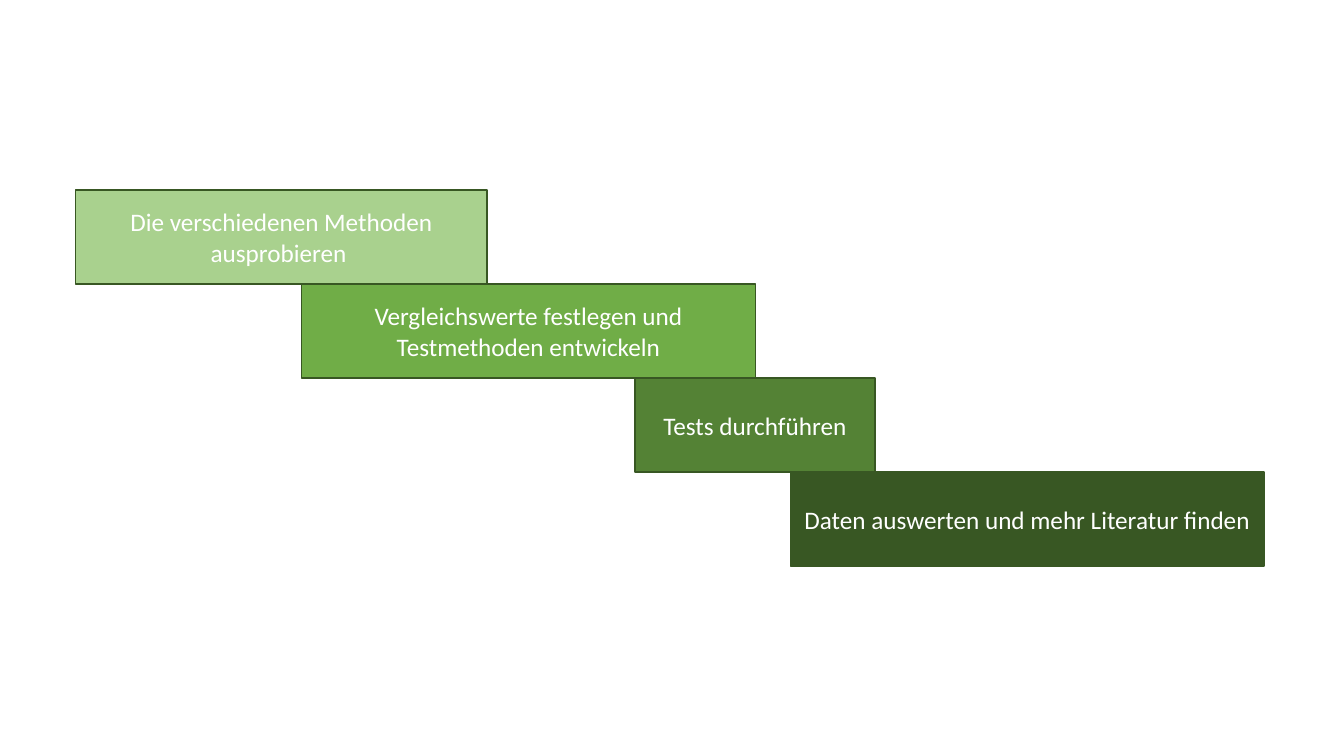
from dataclasses import dataclass

from pptx import Presentation
from pptx.dml.color import RGBColor
from pptx.enum.shapes import MSO_SHAPE
from pptx.enum.text import MSO_ANCHOR, PP_ALIGN
from pptx.util import Pt

RECT = MSO_SHAPE.RECTANGLE
MIDDLE = MSO_ANCHOR.MIDDLE
CENTER = PP_ALIGN.CENTER


@dataclass(frozen=True)
class Theme:
    font: str = "Calibri"
    size: float = 18
    text: str = "FFFFFF"
    line: str = "385723"
    pale: str = "A9D18E"
    green: str = "70AD47"
    deep: str = "548235"
    dark: str = "385723"


class Board:
    """Draws elements on one slide in one style."""

    def __init__(self, slide, theme):
        self.slide = slide
        self.theme = theme

    def box(self, left, top, width, height, fill, text):
        shape = self.slide.shapes.add_shape(
            RECT, Pt(left), Pt(top), Pt(width), Pt(height))
        shape.shadow.inherit = False
        shape.fill.solid()
        shape.fill.fore_color.rgb = RGBColor.from_string(fill)
        shape.line.color.rgb = RGBColor.from_string(self.theme.line)
        shape.line.width = Pt(1)
        frame = shape.text_frame
        frame.word_wrap = True
        frame.vertical_anchor = MIDDLE
        para = frame.paragraphs[0]
        para.alignment = CENTER
        self.run(para, text)

    def run(self, para, text):
        run = para.add_run()
        run.text = text
        run.font.name = self.theme.font
        run.font.size = Pt(self.theme.size)
        run.font.color.rgb = RGBColor.from_string(self.theme.text)


def main():
    deck = Presentation()
    deck.slide_width, deck.slide_height = Pt(960), Pt(540)
    theme = Theme()
    board = Board(deck.slides.add_slide(deck.slide_layouts[6]), theme)

    # Staircase of work steps: row, left, width, fill, text (back to front)
    top, height = 135.6, 67.2
    steps = [
        (1, 215.5, 324, theme.green,
         "Vergleichswerte festlegen und Testmethoden entwickeln"),
        (2, 453.5, 171.5, theme.deep, "Tests durchführen"),
        (3, 564.5, 338.5, theme.dark,
         "Daten auswerten und mehr Literatur finden"),
        (0, 54, 294, theme.pale, "Die verschiedenen Methoden ausprobieren "),
    ]
    for row, left, width, fill, text in steps:
        board.box(left, top + row * height, width, height, fill, text)

    deck.save("out.pptx")


if __name__ == "__main__":
    main()
